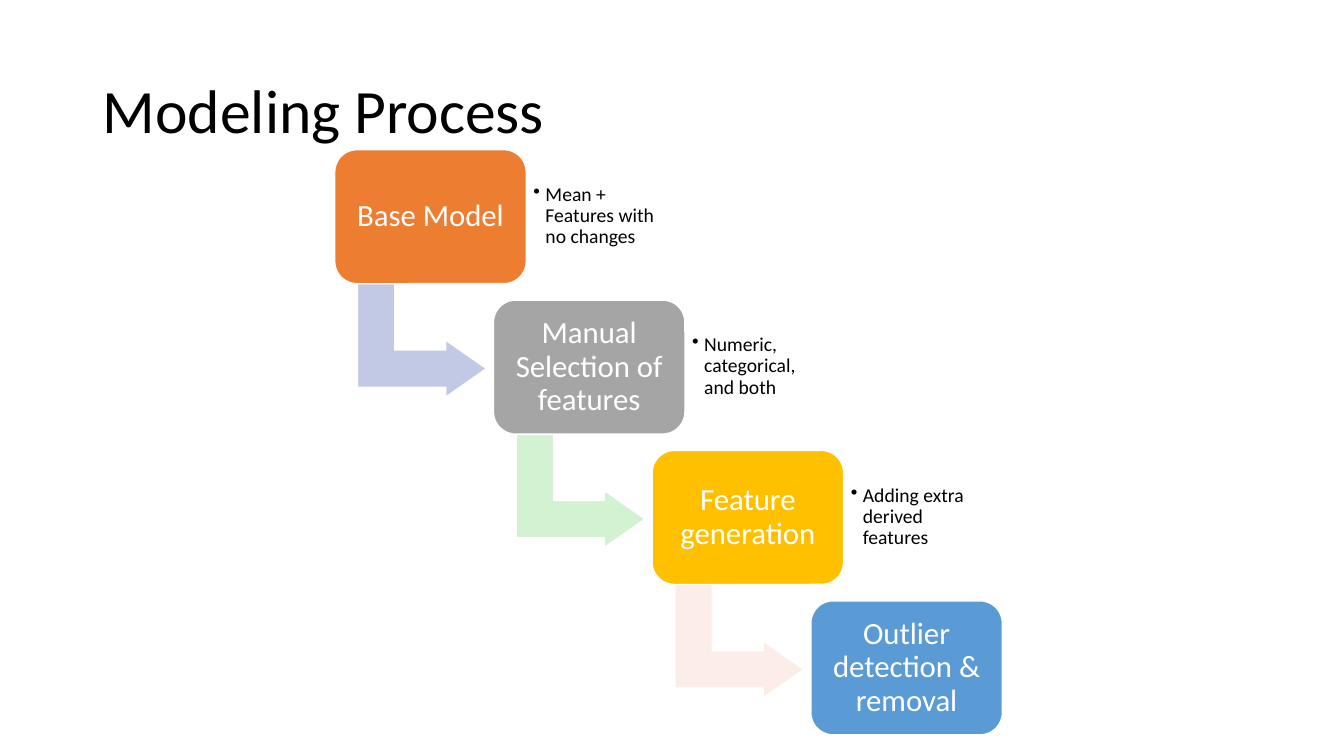
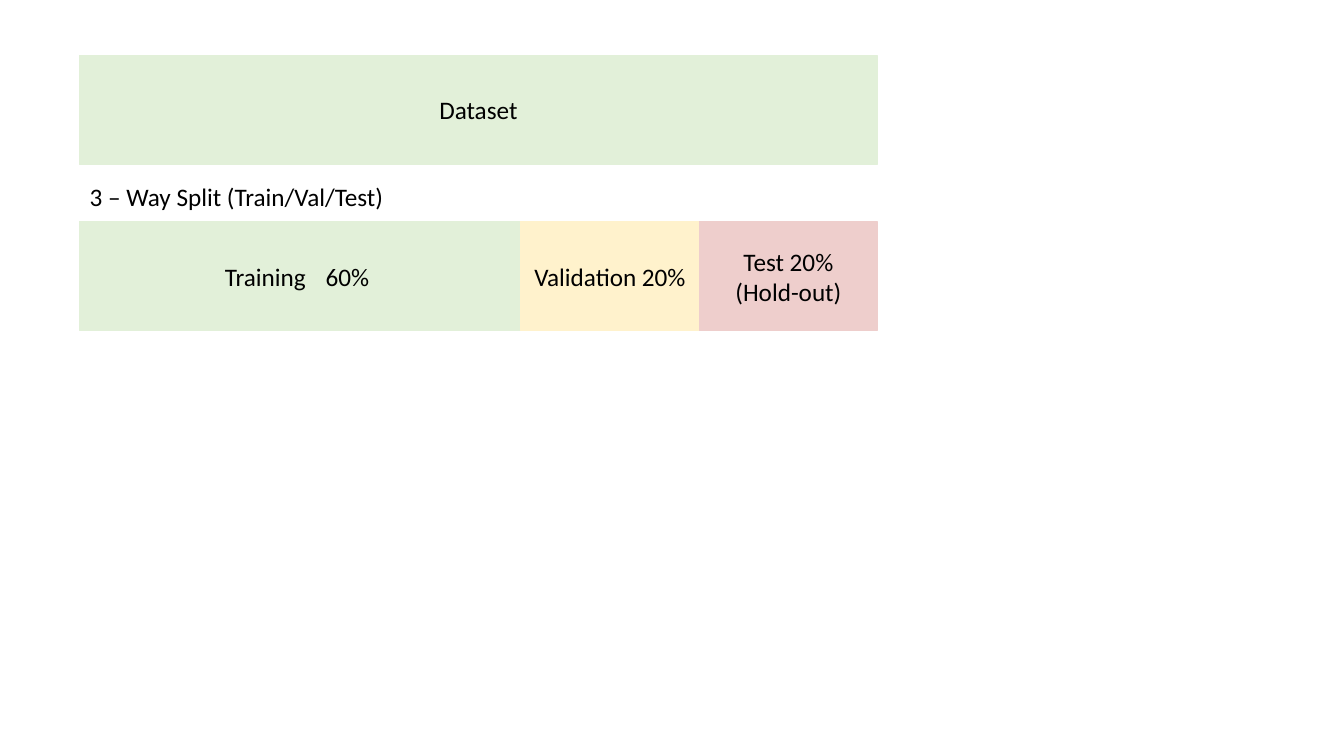
from lxml.etree import SubElement
from pptx import Presentation
from pptx.dml.color import RGBColor
from pptx.enum.shapes import MSO_SHAPE as Preset
from pptx.enum.text import MSO_ANCHOR as Anchor, PP_ALIGN as Align
from pptx.oxml.ns import qn
from pptx.util import Inches, Pt

FONT, BLACK, WHITE = "Calibri", "000000", "FFFFFF"
TITLE = "Modeling Process"
STEPS = [
    ("Base Model", "ED7D31", "Mean + Features with no changes", "C1C9E4"),
    ("Manual Selection of features", "A5A5A5", "Numeric, categorical, and both", "D2F2D2"),
    ("Feature generation", "FFC000", "Adding extra derived features", "FCEDE8"),
    ("Outlier detection & removal", "5B9BD5", None, None),
]
DATASET = ("Dataset", "E2F0D9")
SPLIT_LABEL = "3 – Way Split (Train/Val/Test)"
SPLITS = [
    ("Training\t60% ", "E2F0D9", 4.37),
    ("Validation 20%", "FFF2CC", 1.78),
    ("Test 20% (Hold-out)", "EECECC", 1.76),
]

STEP_LEFT, STEP_TOP, STEP_RIGHT, STEP_DOWN = 3.32, 1.485, 1.574, 1.492
STEP_WIDTH, STEP_HEIGHT = 1.9, 1.33
ARROW_WIDTH, ARROW_HEIGHT = 1.13, 1.28
BAR_LEFT, BAR_HEIGHT = 0.79, 1.08
DATASET_TOP, LABEL_TOP, SPLIT_TOP = 0.55, 1.75, 2.2


def color(value):
    return RGBColor.from_string(value)


def box(left, top, width, height):
    return [Inches(length) for length in (left, top, width, height)]


def write(shape, text, size=18, ink=BLACK, align=Align.CENTER, anchor=Anchor.MIDDLE,
          insets=(0.1, 0.05), spacing=None, bullet=False):
    frame = shape.text_frame
    frame.word_wrap = True
    frame.vertical_anchor = anchor
    frame.margin_left = frame.margin_right = Inches(insets[0])
    frame.margin_top = frame.margin_bottom = Inches(insets[1])
    paragraph = frame.paragraphs[0]
    paragraph.alignment = align
    if spacing:
        paragraph.line_spacing = spacing
    run = paragraph.add_run()
    run.text = text
    run.font.name, run.font.size = FONT, Pt(size)
    run.font.color.rgb = color(ink)
    if bullet:
        properties = paragraph._p.get_or_add_pPr()
        indent = Inches(0.12)
        properties.set("marL", str(indent))
        properties.set("indent", str(-indent))
        SubElement(properties, qn("a:buChar")).set("char", "•")


def add_block(slide, preset, place, fill, line, adjustments=()):
    shape = slide.shapes.add_shape(preset, *box(*place))
    shape.shadow.inherit = False
    shape.fill.solid()
    shape.fill.fore_color.rgb = color(fill)
    shape.line.color.rgb = color(line)
    shape.line.width = Pt(1)
    for index, value in enumerate(adjustments):
        shape.adjustments[index] = value
    return shape


def add_step(slide, index, name, fill, note, arrow_fill):
    left = STEP_LEFT + index * STEP_RIGHT
    top = STEP_TOP + index * STEP_DOWN
    if arrow_fill:
        place = (left + 0.3, top + 1.25, ARROW_WIDTH, ARROW_HEIGHT)
        arrow = add_block(slide, Preset.BENT_UP_ARROW, place, arrow_fill, WHITE,
                          (0.328, 0.25, 0.358))
        arrow.rotation = 90
    step = add_block(slide, Preset.ROUNDED_RECTANGLE, (left, top, STEP_WIDTH, STEP_HEIGHT),
                     fill, WHITE, (0.167,))
    write(step, name, size=22, ink=WHITE, insets=(0.09, 0.09), spacing=0.9)
    if note:
        place = (left + STEP_WIDTH, top + 0.125, 1.38, 1.07)
        write(slide.shapes.add_textbox(*box(*place)), note, size=14, align=Align.LEFT,
              insets=(0.07, 0.07), spacing=0.9, bullet=True)


def add_bar(slide, text, fill, left, top, width):
    bar = add_block(slide, Preset.RECTANGLE, (left, top, width, BAR_HEIGHT), fill, fill)
    write(bar, text)


presentation = Presentation()
presentation.slide_width, presentation.slide_height = Inches(13.33), Inches(7.5)
title_only, blank = presentation.slide_layouts[5], presentation.slide_layouts[6]

process = presentation.slides.add_slide(title_only)
title = process.shapes.title
title.left, title.top, title.width, title.height = box(0.92, 0.4, 11.5, 1.45)
write(title, TITLE, size=44, align=Align.LEFT, spacing=0.9)
for index, step in enumerate(STEPS):
    add_step(process, index, *step)

split = presentation.slides.add_slide(blank)
add_bar(split, *DATASET, BAR_LEFT, DATASET_TOP, sum(width for _, _, width in SPLITS))
left = BAR_LEFT
for text, fill, width in SPLITS:
    add_bar(split, text, fill, left, SPLIT_TOP, width)
    left += width
label = split.shapes.add_textbox(*box(BAR_LEFT, LABEL_TOP, 4.01, 0.4))
write(label, SPLIT_LABEL, align=Align.LEFT, anchor=Anchor.TOP)

presentation.save("out.pptx")
